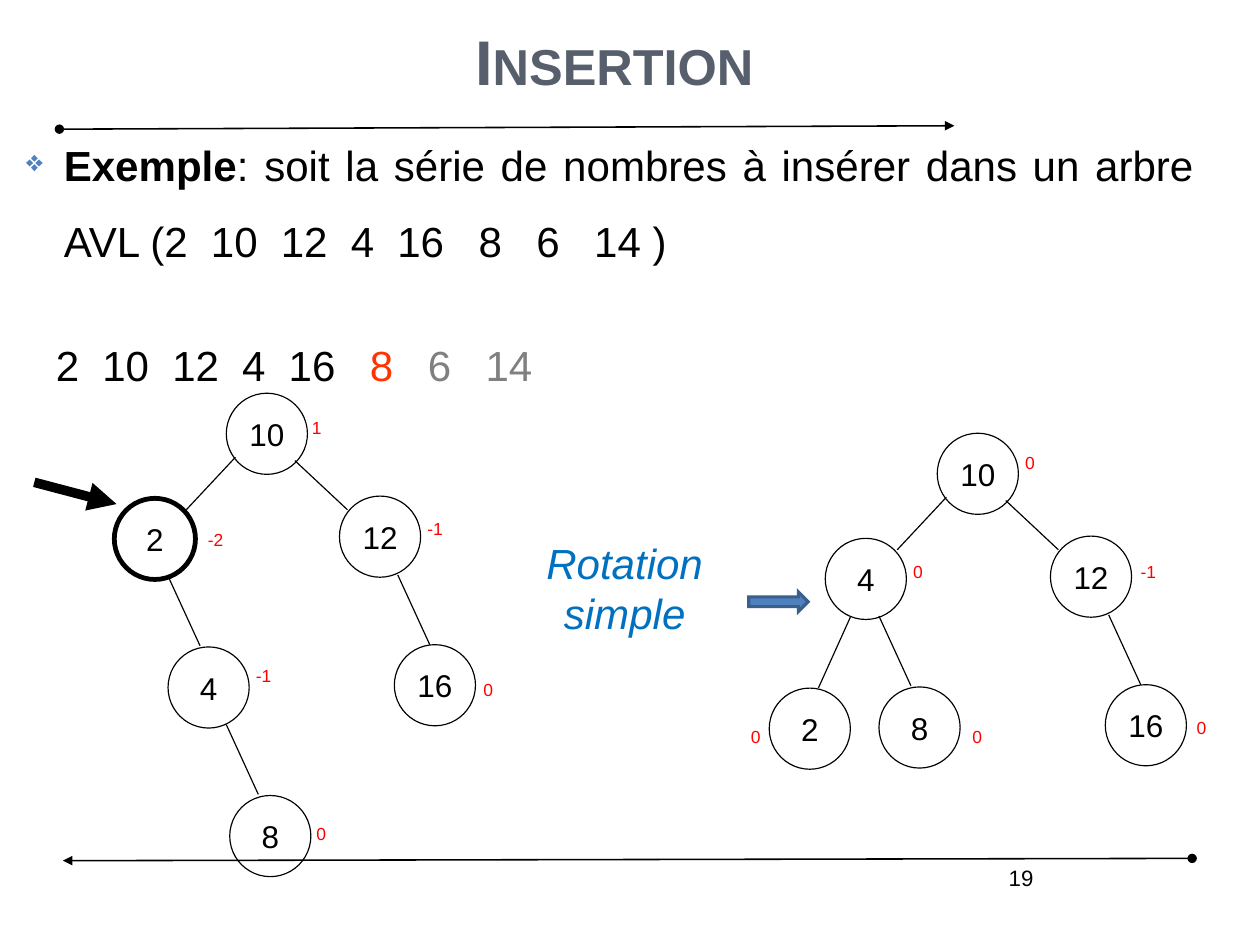
from lxml import etree
from pptx import Presentation
from pptx.dml.color import RGBColor
from pptx.enum.shapes import MSO_CONNECTOR, MSO_SHAPE
from pptx.enum.text import MSO_ANCHOR, PP_ALIGN
from pptx.oxml.ns import qn
from pptx.util import Cm, Inches, Pt

STRAIGHT = MSO_CONNECTOR.STRAIGHT
ELLIPSE, RIGHT_ARROW = MSO_SHAPE.OVAL, MSO_SHAPE.RIGHT_ARROW
TOP, MIDDLE, BOTTOM = MSO_ANCHOR.TOP, MSO_ANCHOR.MIDDLE, MSO_ANCHOR.BOTTOM
LEFT, CENTER, RIGHT, JUSTIFY = (PP_ALIGN.LEFT, PP_ALIGN.CENTER,
                                PP_ALIGN.RIGHT, PP_ALIGN.JUSTIFY)

CELL = 0.1  # inches: side of one square of the layout grid
NODE = 7.1  # diameter of a tree node
BLACK, RED, BLUE = "000000", "FF0000", "4F81BD"
BODY = 26.5
SPACE = 0.27  # width of a space as a share of the type size

NUMBERS = ["2", "10", "12", "4", "16", "8", "6", "14"]
WIDE_GAP_BEFORE = {"8", "6", "14"}

# Places of the nodes, counted from the root's corner
ROOT, L, R = (0, 0), (-9.8, 9.2), (9.9, 9)
LL, LR, RR, LRR = (-14.7, 22.3), (-5.1, 22.2), (14.7, 22), (0.3, 35.2)

# Edge ends, counted from the corners of parent and child
SLOPES = {
    "flat left": ((0.8, 5.6), (6.3, 1)),
    "flat right": ((6, 5.9), (0.7, 1.2)),
    "steep left": ((2.2, 6.9), (4.3, 0)),
    "steep right": ((4.7, 6.8), (2.8, -0.1)),
    "outer right": ((5.1, 6.9), (3.1, 0)),
    "low right": ((5.1, 6.8), (2.5, -0.1)),
}

# place, value, balance, offset of the balance label from the node
BEFORE = [
    (ROOT, "10", "1", (6.5, 1.6)), (L, "2", "-2", (7.2, 2.2)),
    (R, "12", "-1", (6.7, 1.4)), (LR, "4", "-1", (6.7, 1.1)),
    (RR, "16", "0", (6.8, 2.5)), (LRR, "8", "0", (6.6, 1.9)),
]
AFTER = [
    (ROOT, "10", "0", (6.7, 1.2)), (L, "4", "0", (6.7, 1.5)),
    (R, "12", "-1", (6.9, 1.7)), (LL, "2", "0", (-2.6, 2.8)),
    (LR, "8", "0", (7.2, 2.9)), (RR, "16", "0", (7, 2.3)),
]
SHARED_EDGES = [(ROOT, L, "flat left"), (ROOT, R, "flat right"),
                (L, LR, "steep right"), (R, RR, "outer right")]


def cells(*counts):
    return [Inches(count * CELL) for count in counts]


def shift(point, offset):
    return point[0] + offset[0], point[1] + offset[1]


def colour(hex_string):
    return RGBColor.from_string(hex_string)


def add_span(para, text, size=BODY, ink=BLACK, **formats):
    span = para.add_run()
    span.text = text
    span.font.color.rgb = colour(ink)
    formats = {"name": "Arial", "size": Pt(size), **formats}
    for name, value in formats.items():
        setattr(span.font, name, value)
    return span


def set_frame(box, align, anchor=TOP, wrap=True, spacing=1):
    frame = box.text_frame
    frame.word_wrap, frame.vertical_anchor = wrap, anchor
    para = frame.paragraphs[0]
    para.alignment, para.line_spacing = align, spacing
    return para


def add_box(shapes, place, align=LEFT, **layout):
    """Add a text box and return its first paragraph."""
    return set_frame(shapes.add_textbox(*cells(*place)), align, **layout)


def add_line(shapes, start, end, width=0.75, head=None, tail=None):
    line = shapes.add_connector(STRAIGHT, *cells(*start, *end))
    line.line.color.rgb = colour(BLACK)
    line.line.width = Pt(width)
    properties = line.line._get_or_add_ln()
    for tag, kind in (("a:headEnd", head), ("a:tailEnd", tail)):
        if kind:
            etree.SubElement(properties, qn(tag), type=kind)
    etree.SubElement(line._element.spPr, qn("a:effectLst"))


def add_outline(shapes, kind, place, ink, width):
    shape = shapes.add_shape(kind, *cells(*place))
    shape.shadow.inherit = False
    shape.fill.background()
    shape.line.color.rgb = colour(ink)
    shape.line.width = Pt(width)
    etree.SubElement(shape.line._get_or_add_ln(), qn("a:miter"), lim="800000")
    return shape


def add_node(shapes, corner, value, width):
    node = add_outline(shapes, ELLIPSE, (*corner, NODE, NODE), BLACK, width)
    for side in ("left", "top", "right", "bottom"):
        setattr(node.text_frame, "margin_" + side, 0)
    add_span(set_frame(node, CENTER, MIDDLE, wrap=False), value, 19.8)


def add_tree(slide, root, nodes, edges, heavy=None):
    shapes = slide.shapes.add_group_shape().shapes
    for place, value, balance, offset in nodes:
        corner = shift(root, place)
        add_node(shapes, corner, value, 3 if place == heavy else 0.75)
        label = add_box(shapes, (*shift(corner, offset), 3.5, 2.9))
        add_span(label, balance, 11, RED)
    for parent, child, slope in edges:
        start, end = SLOPES[slope]
        add_line(shapes, shift(shift(root, parent), start),
                 shift(shift(root, child), end))


def add_series(para, inks):
    """Write the numbers, with a wider gap before the last three."""
    for number in NUMBERS:
        if number != NUMBERS[0]:
            extra = 2 if number in WIDE_GAP_BEFORE else 1
            gap = add_span(para, " ")
            tracking = round(extra * SPACE * BODY * 100)
            gap.font._element.set("spc", str(tracking))
        add_span(para, number, ink=inks.get(number, BLACK))


def add_bullet(para, mark, ink, percent, indent):
    properties = para._p.get_or_add_pPr()
    properties.set("marL", str(Inches(indent)))
    properties.set("indent", str(-Inches(indent)))
    tint = etree.SubElement(properties, qn("a:buClr"))
    etree.SubElement(tint, qn("a:srgbClr"), val=ink)
    etree.SubElement(properties, qn("a:buSzPct"), val=str(percent * 1000))
    etree.SubElement(properties, qn("a:buChar"), char=mark)


def add_heading(slide):
    title = add_box(slide.shapes, (5.5, -9, 96.5, 18.1), CENTER,
                    anchor=BOTTOM, spacing=1.5)
    span = add_span(title, "Insertion", 39.7, "575F6D", bold=True)
    span.font._element.set("cap", "small")


def add_statement(slide):
    para = add_box(slide.shapes, (1.3, 9.5, 104.2, 73.2), JUSTIFY,
                   spacing=1.5)
    add_bullet(para, "❖", BLUE, 70, 0.33)
    add_span(para, "Exemple", bold=True)
    add_span(para, ": soit la série de nombres à insérer dans un arbre AVL (")
    add_series(para, {})
    add_span(para, " )")


def main():
    deck = Presentation()
    deck.slide_width, deck.slide_height = Cm(28), Cm(21)
    slide = deck.slides.add_slide(deck.slide_layouts[6])
    shapes = slide.shapes

    ends = {"width": 1, "head": "oval", "tail": "triangle"}
    add_line(shapes, (5.2, 11.3), (83.5, 11), **ends)
    add_line(shapes, (104.3, 75.1), (5.5, 75.3), **ends)
    add_span(add_box(shapes, (65.7, 75.1, 25.7, 5.7), RIGHT), "19", 14)

    add_heading(slide)
    add_statement(slide)
    progress = add_box(shapes, (3.9, 29.2, 46.5, 5.5))
    add_series(progress, {"8": "FF3300", "6": "808080", "14": "808080"})

    add_tree(slide, (19.8, 34.4), BEFORE,
             SHARED_EDGES + [(LR, LRR, "low right")], heavy=L)
    add_line(shapes, (3, 42.2), (10.2, 44.1), width=6, tail="triangle")

    rotation = add_box(shapes, (44.7, 46.5, 19.9, 9.9), CENTER)
    add_span(rotation, "Rotation simple", ink="0070C0", italic=True)
    add_tree(slide, (82, 37.9), AFTER, SHARED_EDGES + [(L, LL, "steep left")])
    arrow = add_outline(shapes, RIGHT_ARROW, (65.5, 51.8, 5.2, 1.7),
                        "3A5F8C", 2)
    arrow.fill.solid()
    arrow.fill.fore_color.rgb = colour(BLUE)

    deck.save("out.pptx")


if __name__ == "__main__":
    main()
